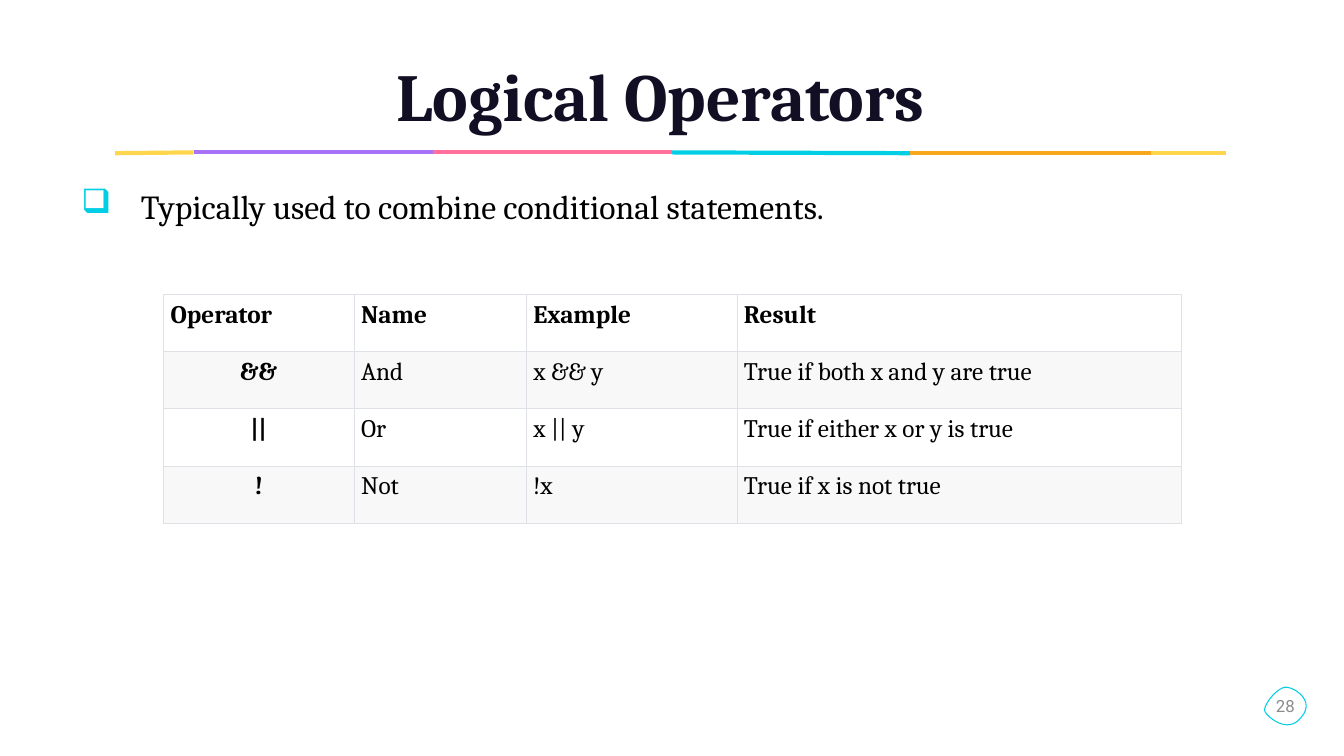
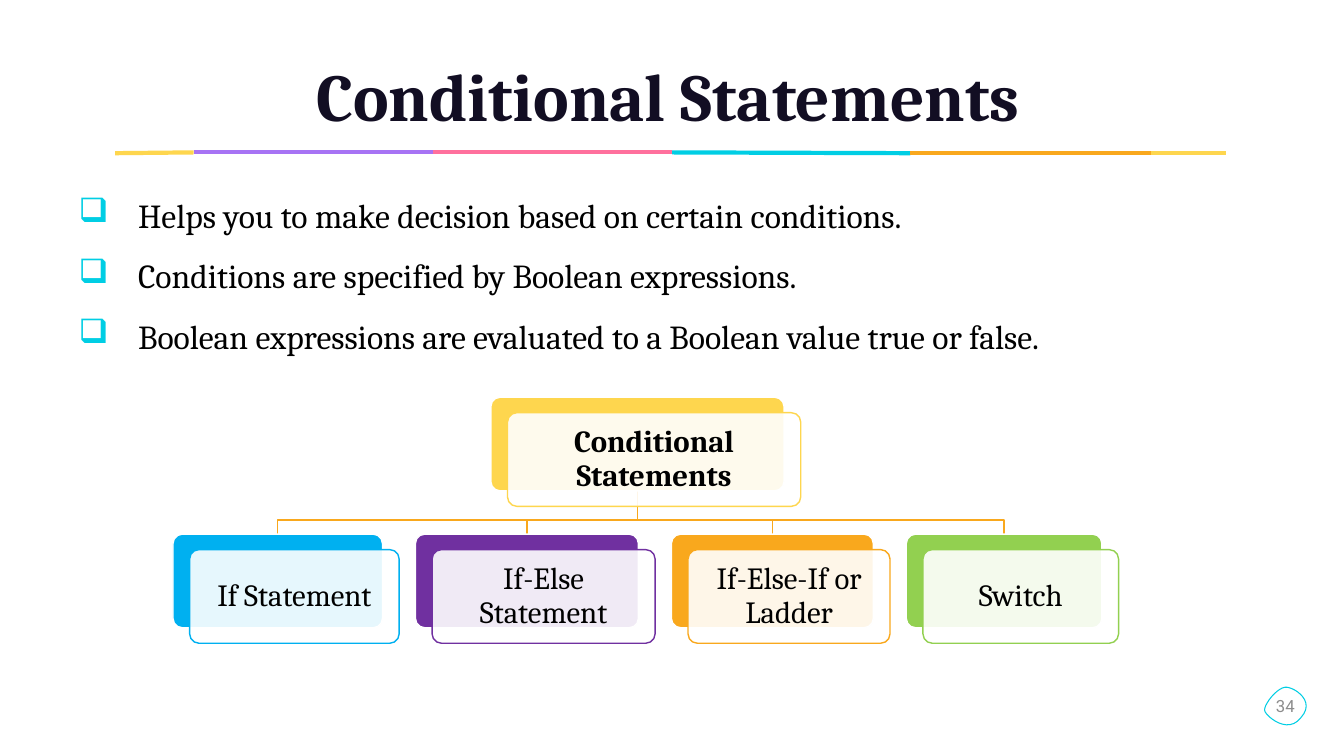
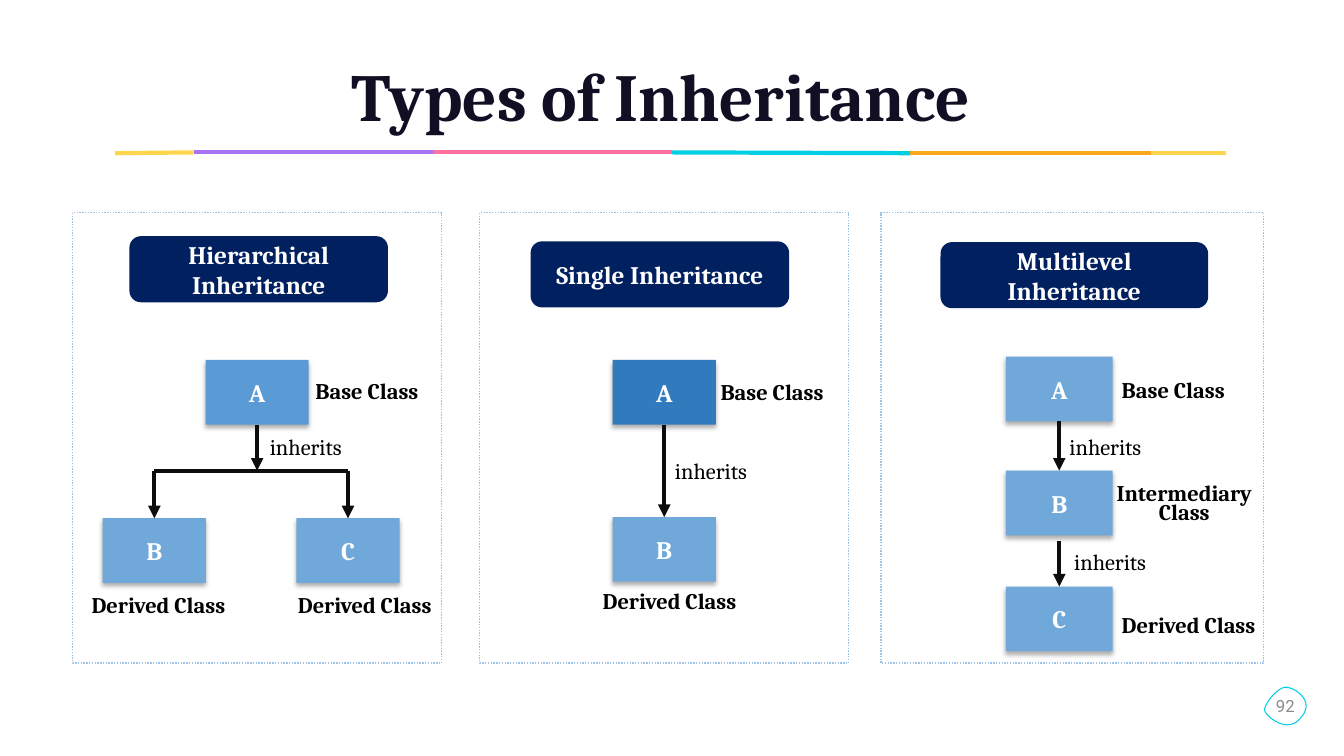
import dataclasses
import itertools
import typing

import lxml.etree
import pptx
import pptx.dml.color
import pptx.enum.dml
import pptx.enum.shapes
import pptx.enum.text
import pptx.oxml
import pptx.oxml.ns
import pptx.util

Cm = pptx.util.Cm
Pt = pptx.util.Pt
SHAPE = pptx.enum.shapes.MSO_SHAPE
LINK = pptx.enum.shapes.MSO_CONNECTOR
ALIGN = pptx.enum.text.PP_ALIGN
ANCHOR = pptx.enum.text.MSO_ANCHOR
FIT = pptx.enum.text.MSO_AUTO_SIZE
qn = pptx.oxml.ns.qn

COLORS = {
    "title": "120E23", "text": "000000", "white": "FFFFFF", "page": "8C8C8C",
    "gold": "FED64E", "violet": "A773F4", "pink": "FF709D", "cyan": "00CEE4",
    "orange": "F9A81D", "grid": "DEE2E6", "stripe": "F8F8F8",
    "sky": "00B0F0", "purple": "7030A0", "green": "92D050",
    "navy": "002060", "frame": "9DC3E6", "arrow": "0D0D0D",
    "base": "5B9BD5", "deep": "317ABD", "light": "70A8DA",
}
FONT = "Cambria"


@dataclasses.dataclass(frozen=True)
class Box:
    """Place and size in centimetres."""
    x: float
    y: float
    w: float
    h: float

    def cm(self) -> tuple[Cm, Cm, Cm, Cm]:
        return Cm(self.x), Cm(self.y), Cm(self.w), Cm(self.h)


@dataclasses.dataclass(frozen=True)
class Card:
    text: str
    color: str
    box: Box
    bold: bool = False


@dataclasses.dataclass(frozen=True)
class Node:
    text: str
    x: float
    y: float
    color: str = "light"


@dataclasses.dataclass(frozen=True)
class Label:
    text: str
    x: float
    y: float


@dataclasses.dataclass(frozen=True)
class Panel:
    title: str
    frame: Box
    badge: Box
    node_w: float
    nodes: list[Node]
    labels: list[Label]


def rgb(name: str) -> pptx.dml.color.RGBColor:
    return pptx.dml.color.RGBColor.from_string(COLORS[name])


def sub(parent: typing.Any, tag: str, **attrs: str) -> typing.Any:
    """Add an XML child with a prefixed tag."""
    return lxml.etree.SubElement(parent, qn(tag), attrs)


def write(frame: typing.Any, text: str, *, size: float, font: str = FONT,
          color: str = "text", bold: bool = False, align: typing.Any = ALIGN.LEFT,
          anchor: typing.Any = None, space: typing.Any = None,
          inset: tuple[float, float] | None = None, wrap: bool = True,
          bullet: str = "") -> None:
    """Fill a text frame, one paragraph for each line of text."""
    frame.word_wrap = wrap
    if anchor is not None:
        frame.vertical_anchor = anchor
    if inset is not None:
        frame.margin_left = frame.margin_right = Cm(inset[0])
        frame.margin_top = frame.margin_bottom = Cm(inset[1])
    for i, line in enumerate(text.split("\n")):
        par = frame.paragraphs[0] if i == 0 else frame.add_paragraph()
        par.alignment = align
        if space is not None:
            par.line_spacing = space
        if bullet:
            props = par._p.get_or_add_pPr()
            props.set("marL", str(Cm(1.5)))
            props.set("indent", str(-Cm(1.5)))
            sub(sub(props, "a:buClr"), "a:srgbClr", val=COLORS["cyan"])
            sub(props, "a:buChar", char=bullet)
        run = par.add_run()
        run.text = line
        run.font.size = Pt(size)
        run.font.name = font
        run.font.bold = bold
        run.font.color.rgb = rgb(color)


def add_text(slide: typing.Any, box: Box, text: str, **form: typing.Any) -> typing.Any:
    shape = slide.shapes.add_textbox(*box.cm())
    write(shape.text_frame, text, **form)
    return shape


def style(shape: typing.Any, fill: str = "", line: str = "", width: float = 1) -> None:
    shape.shadow.inherit = False
    if fill:
        shape.fill.solid()
        shape.fill.fore_color.rgb = rgb(fill)
    else:
        shape.fill.background()
    if line:
        shape.line.color.rgb = rgb(line)
        shape.line.width = Pt(width)
    else:
        shape.line.fill.background()


def add_shape(slide: typing.Any, kind: typing.Any, box: Box, fill: str = "",
              line: str = "") -> typing.Any:
    shape = slide.shapes.add_shape(kind, *box.cm())
    style(shape, fill, line)
    return shape


def add_path(slide: typing.Any, points: list[tuple[int, int]], line: str,
             width: float, close: bool = False) -> typing.Any:
    path = slide.shapes.build_freeform(*points[0])
    path.add_line_segments(points[1:], close=close)
    shape = path.convert_to_shape()
    style(shape, "", line, width)
    return shape


def add_line(slide: typing.Any, start: typing.Any, end: typing.Any,
             color: str, head: bool = False) -> None:
    """Draw a line; an end is a point, or a shape left below and entered on top."""
    first = start if isinstance(start, tuple) else (0, 0)
    last = end if isinstance(end, tuple) else (0, 0)
    line = slide.shapes.add_connector(LINK.STRAIGHT, *first, *last)
    if first is not start:
        line.begin_connect(start, 2)
    if last is not end:
        line.end_connect(end, 0)
    line.line.color.rgb = rgb(color)
    line.line.width = Pt(3)
    if head:
        sub(line.line._get_or_add_ln(), "a:tailEnd", type="triangle")
    sub(line._element.spPr, "a:effectLst")


RULE = [(2.9, 3.86), (4.88, 3.84), (10.9, 3.84), (16.94, 3.84),
        (22.94, 3.86), (29.01, 3.86), (30.89, 3.86)]
RULE_COLORS = ["gold", "violet", "pink", "cyan", "orange", "gold"]
BLOB = [
    [(32.44, 17.32), (32.66, 17.35), (33.15, 17.68), (32.79, 18.08)],
    [(32.79, 18.08), (32.46, 18.52), (31.93, 18.06), (31.88, 17.93)],
    [(31.88, 17.93), (31.8, 17.81), (32.21, 17.27), (32.44, 17.32)],
]


def curve(knots: list[tuple[float, float]], steps: int = 12) -> list[tuple[int, int]]:
    """Sample a cubic curve, leaving out its last point."""
    points = []
    for i in range(steps):
        t = i / steps
        parts = ((1 - t) ** 3, 3 * t * (1 - t) ** 2, 3 * t * t * (1 - t), t ** 3)
        x, y = (sum(a * k[axis] for a, k in zip(parts, knots)) for axis in (0, 1))
        points.append((Cm(x), Cm(y)))
    return points


def add_slide(deck: typing.Any, title: str, page: str) -> typing.Any:
    """Add a slide with the shared title, rule and page mark."""
    slide = deck.slides.add_slide(deck.slide_layouts[6])
    for (a, b), color in zip(itertools.pairwise(RULE), RULE_COLORS):
        add_line(slide, (Cm(a[0]), Cm(a[1])), (Cm(b[0]), Cm(b[1])), color)
    add_text(slide, Box(1.8, 1.27, 30.07, 2.26), title, size=48, bold=True,
             color="title", align=ALIGN.CENTER, anchor=ANCHOR.BOTTOM, space=1.7)
    points = [point for part in BLOB for point in curve(part)]
    mark = add_path(slide, points, "cyan", 0.75, close=True)
    write(mark.text_frame, page, size=12, font="Roboto", color="page",
          align=ALIGN.CENTER, anchor=ANCHOR.MIDDLE, inset=(0, 0), wrap=False)
    return slide


def add_list(slide: typing.Any, box: Box, text: str) -> None:
    add_text(slide, box, text, size=24, space=1.5, bullet="❑")


WIDTHS = [4.8, 4.34, 5.31, 11.2]
ROWS = [
    ["Operator", "Name", "Example", "Result"],
    ["&&", "And", "x && y", "True if both x and y are true"],
    ["||", "Or", "x || y", "True if either x or y is true"],
    ["!", "Not", "!x", "True if x is not true"],
]


def add_edges(cell: typing.Any) -> None:
    """Give a cell thin borders, which go ahead of its fill."""
    props = cell._tc.get_or_add_tcPr()
    for i, side in enumerate(("a:lnL", "a:lnR", "a:lnT", "a:lnB")):
        edge = sub(props, side, w=str(Pt(0.5)))
        sub(sub(edge, "a:solidFill"), "a:srgbClr", val=COLORS["grid"])
        props.insert(i, edge)


def add_grid(slide: typing.Any) -> None:
    box = Box(4.12, 7.42, sum(WIDTHS), 1.44 * len(ROWS))
    grid = slide.shapes.add_table(len(ROWS), len(WIDTHS), *box.cm()).table
    grid.first_row = grid.horz_banding = False
    for col, width in zip(grid.columns, WIDTHS):
        col.width = Cm(width)
    for r, row in enumerate(ROWS):
        for c, text in enumerate(row):
            cell = grid.cell(r, c)
            cell.margin_left = cell.margin_right = Cm(0.18)
            cell.margin_top = cell.margin_bottom = Cm(0.15)
            cell.fill.solid()
            cell.fill.fore_color.rgb = rgb("stripe" if r % 2 else "white")
            add_edges(cell)
            write(cell.text_frame, text, size=18, bold=r == 0 or c == 0,
                  align=ALIGN.CENTER if r and c == 0 else ALIGN.LEFT)


CARD_H = 2.36
ROOT = Card("Conditional Statements", "gold", Box(12.37, 10.01, 7.39, CARD_H), True)
LEAVES = [("If Statement", "sky", 5.28), ("If-Else Statement", "purple", 5.62),
          ("If-Else-If or Ladder", "orange", 5.09), ("Switch", "green", 4.93)]


def add_card(slide: typing.Any, card: Card) -> None:
    box = card.box
    back = add_shape(slide, SHAPE.ROUNDED_RECTANGLE, box, card.color, "white")
    front = add_shape(slide, SHAPE.ROUNDED_RECTANGLE,
                      Box(box.x + 0.42, box.y + 0.39, box.w, box.h),
                      "white", card.color)
    for shape in (back, front):
        shape.adjustments[0] = 0.1
    tint = front._element.spPr.find(qn("a:solidFill"))[0]
    sub(tint, "a:alpha", val="90000")
    write(front.text_frame, card.text, size=22, bold=card.bold, align=ALIGN.CENTER,
          anchor=ANCHOR.MIDDLE, space=0.9, inset=(0.29, 0.29))


def add_tree(slide: typing.Any) -> None:
    left, top, gap = 4.36, 13.46, 0.83
    cards = []
    for text, color, width in LEAVES:
        cards.append(Card(text, color, Box(left, top, width, CARD_H)))
        left += width + gap
    stem, base, bus = ROOT.box.x + ROOT.box.w / 2, ROOT.box.y + CARD_H, 13.1
    for card in cards:
        mid = card.box.x + card.box.w / 2
        bend = [(stem, base), (stem, bus), (mid, bus), (mid, top)]
        add_path(slide, [(Cm(x), Cm(y)) for x, y in bend], "orange", 1)
    for card in [ROOT, *cards]:
        add_card(slide, card)


NODE_H = 1.63
TOP, TALL = 5.36, 11.35
LABEL_W = {"Base Class": 3.2, "Derived Class": 4.04, "inherits": 2.41}
PANELS = [
    Panel("Hierarchical Inheritance", Box(1.83, TOP, 9.3, TALL),
          Box(3.28, 5.97, 6.48, NODE_H), 2.6,
          [Node("A", 5.18, 9.07, "base"), Node("B", 2.59, 13.06),
           Node("C", 7.47, 13.06)],
          [Label("Base Class", 7.7, 9.37), Label("Derived Class", 7.26, 14.78),
           Label("Derived Class", 2.06, 14.76), Label("inherits", 6.55, 10.8)]),
    Panel("Single Inheritance", Box(12.09, TOP, 9.3, TALL),
          Box(13.39, 6.1, 6.48, NODE_H), 2.6,
          [Node("A", 15.44, 9.07, "deep"), Node("B", 15.44, 13.03)],
          [Label("Base Class", 17.91, 9.4), Label("Derived Class", 14.94, 14.68),
           Label("inherits", 16.76, 11.4)]),
    Panel("Multilevel Inheritance", Box(22.2, TOP, 9.65, TALL),
          Box(23.72, 6.12, 6.71, NODE_H), 2.69,
          [Node("A", 25.35, 8.99), Node("B", 25.35, 11.86), Node("C", 25.35, 14.78)],
          [Label("Base Class", 28.02, 9.35), Label("Derived Class", 28.02, 15.27),
           Label("inherits", 26.7, 10.8), Label("inherits", 26.82, 13.69)]),
]


def add_node(slide: typing.Any, node: Node, width: float) -> typing.Any:
    shape = add_shape(slide, SHAPE.RECTANGLE, Box(node.x, node.y, width, NODE_H),
                      node.color)
    glow = sub(shape._element.spPr.find(qn("a:effectLst")), "a:outerShdw",
               blurRad=str(Pt(3.5)), dist=str(Pt(2.2)), dir="5400000",
               algn="ctr", rotWithShape="0")
    sub(sub(glow, "a:srgbClr", val=COLORS["text"]), "a:alpha", val="32000")
    write(shape.text_frame, node.text, size=18, bold=True, color="white",
          align=ALIGN.CENTER, anchor=ANCHOR.MIDDLE)
    return shape


def add_panel(slide: typing.Any, panel: Panel) -> list[typing.Any]:
    """Draw a panel and return the shapes of its nodes."""
    frame = add_shape(slide, SHAPE.RECTANGLE, panel.frame, line="frame")
    frame.line.dash_style = pptx.enum.dml.MSO_LINE.ROUND_DOT
    badge = add_shape(slide, SHAPE.ROUNDED_RECTANGLE, panel.badge, "navy", "navy")
    write(badge.text_frame, panel.title, size=18, bold=True, color="white",
          align=ALIGN.CENTER, anchor=ANCHOR.MIDDLE)
    for label in panel.labels:
        box = Box(label.x, label.y, LABEL_W[label.text], 0.94)
        shape = add_text(slide, box, label.text, size=16,
                         bold=label.text != "inherits", wrap=False)
        shape.text_frame.auto_size = FIT.SHAPE_TO_FIT_TEXT
    return [add_node(slide, node, panel.node_w) for node in panel.nodes]


def mid(shape: typing.Any) -> int:
    return shape.left + shape.width // 2


def add_types(slide: typing.Any) -> None:
    tree, single, chain = (add_panel(slide, panel) for panel in PANELS)
    root, *kids = tree
    bar = Cm(11.86)
    add_line(slide, (mid(kids[0]), bar), (mid(kids[1]), bar), "arrow")
    for kid in kids:
        add_line(slide, (mid(kid), bar), kid, "arrow", head=True)
    add_line(slide, root, (mid(root), bar), "arrow", head=True)
    add_line(slide, *single, "arrow", head=True)
    add_line(slide, *chain[:2], "arrow", head=True)
    add_line(slide, (mid(chain[2]), Cm(13.64)), chain[2], "arrow", head=True)
    add_text(slide, Box(27.84, 12.12, 4.01, 1.27), "Intermediary Class", size=16,
             bold=True, align=ALIGN.CENTER, space=Pt(14))


def main() -> None:
    deck = pptx.Presentation()
    deck.slide_width, deck.slide_height = Cm(33.87), Cm(19.05)

    logic = add_slide(deck, "Logical Operators ", "28")
    add_list(logic, Box(1.8, 4.04, 31.34, 11.94),
             "Typically used to combine conditional statements.")
    add_grid(logic)

    choice = add_slide(deck, "Conditional Statements", "34")
    add_list(choice, Box(1.73, 4.27, 31.19, 11.94),
             "Helps you to make decision based on certain conditions.\n"
             "Conditions are specified by Boolean expressions.\n"
             "Boolean expressions are evaluated to a Boolean value true or false.")
    add_tree(choice)

    add_types(add_slide(deck, "Types of Inheritance ", "92"))
    deck.save("out.pptx")


if __name__ == "__main__":
    main()
